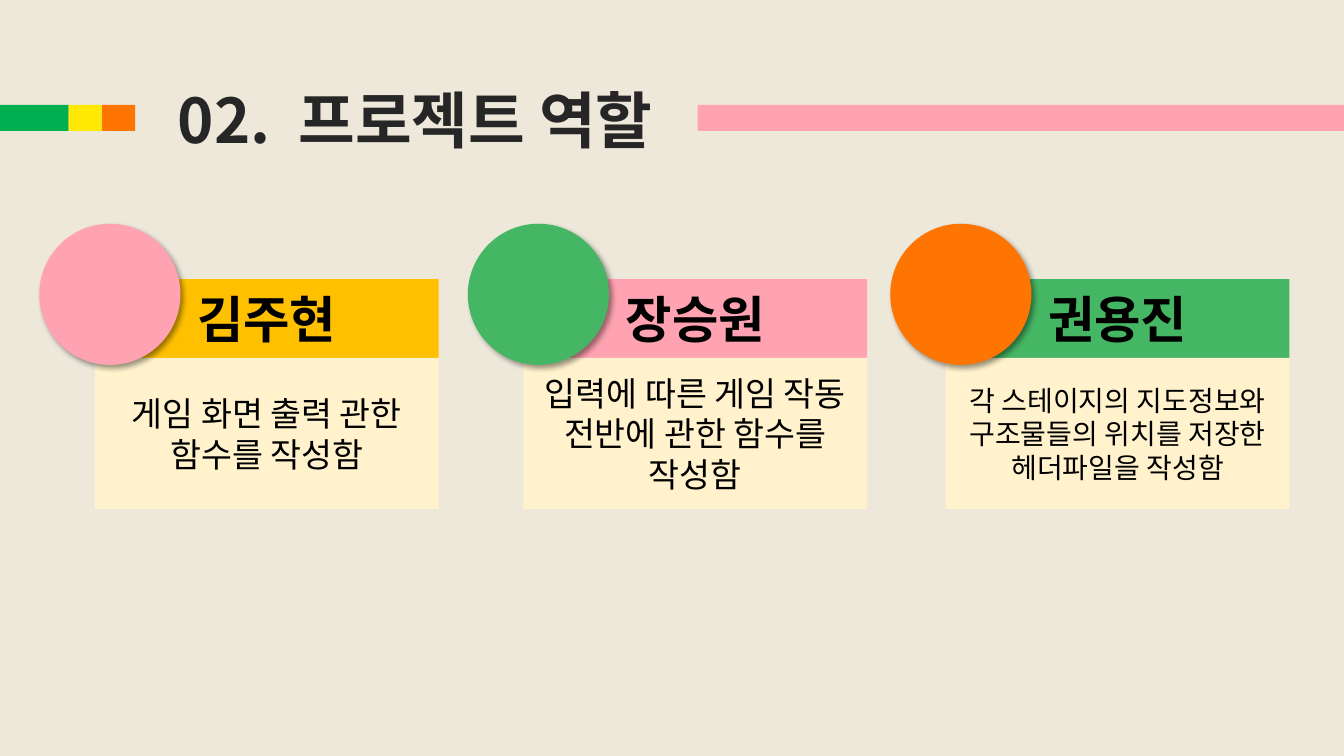
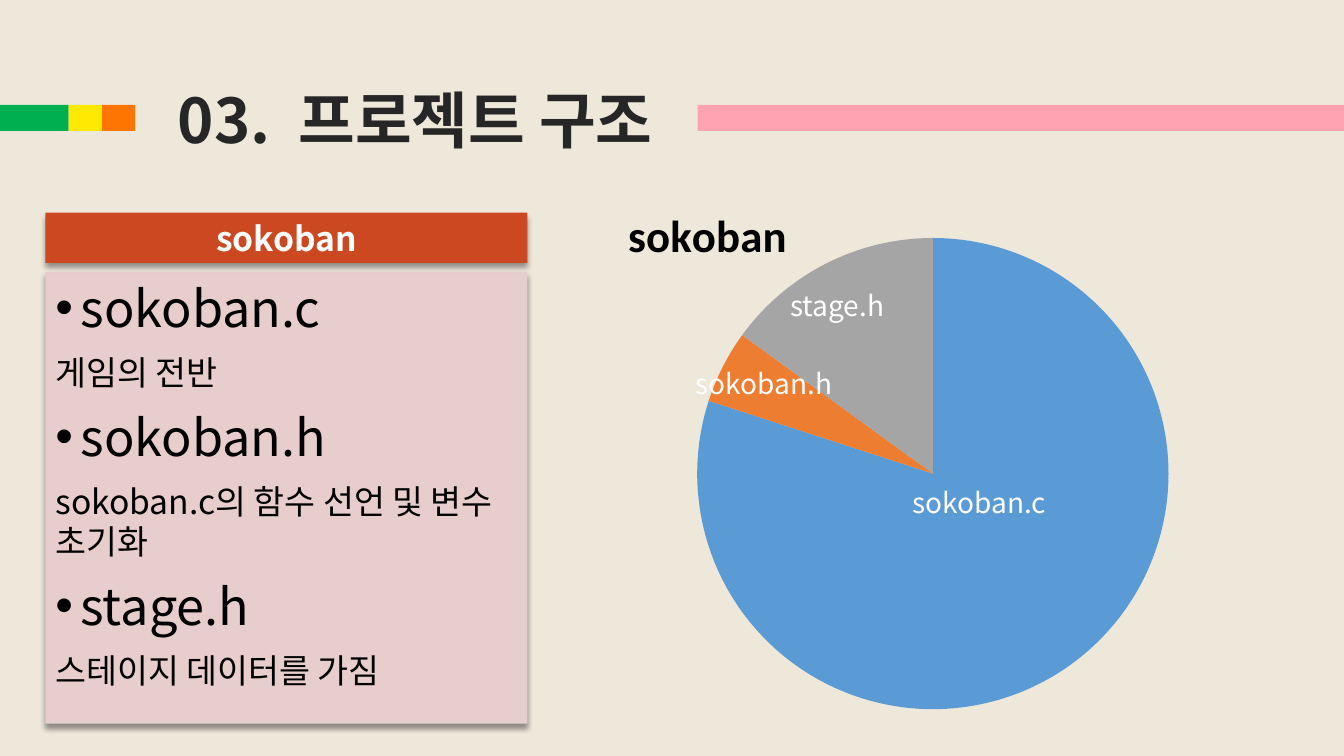
from lxml.etree import SubElement
from pptx import Presentation
from pptx.chart.data import CategoryChartData
from pptx.dml.color import RGBColor
from pptx.enum.chart import XL_CHART_TYPE
from pptx.enum.shapes import MSO_SHAPE
from pptx.enum.text import MSO_ANCHOR, PP_ALIGN
from pptx.oxml import parse_xml
from pptx.oxml.ns import nsdecls, qn
from pptx.util import Inches, Pt

FONT = "Noto Sans CJK KR"
CHART_FONT = "Calibri"
BACKGROUND = "EEE8DB"
BLACK, WHITE, INK = "000000", "FFFFFF", "262626"
PINK, ORANGE, GREEN, GOLD, CREAM = "FFA2B1", "FF7501", "45B664", "FFC000", "FFF2CC"
BANDS = [
    (0, 0.68, "00B050"),
    (0.68, 0.33, "FFE802"),
    (1.01, 0.33, ORANGE),
    (6.92, 6.42, PINK),
]


def color(value):
    return RGBColor.from_string(value)


class SlideBuilder:
    def __init__(self):
        self.deck = Presentation()
        self.deck.slide_width = Inches(13.33)
        self.deck.slide_height = Inches(7.5)
        fill = self.deck.slide_master.background.fill
        fill.solid()
        fill.fore_color.rgb = color(BACKGROUND)
        self.page = None

    def new_page(self):
        self.page = self.deck.slides.add_slide(self.deck.slide_layouts[6])

    def style(self, font, size, ink, bold=False, name=FONT):
        font.size = Pt(size)
        font.bold = bold
        font.name = name
        font.color.rgb = color(ink)

    def add_text(self, paragraph, text, size, ink=BLACK, bold=False, align=PP_ALIGN.LEFT):
        paragraph.alignment = align
        paragraph.add_run().text = text
        self.style(paragraph.font, size, ink, bold)
        east_asian = SubElement(paragraph.font._element, qn("a:ea"))
        east_asian.set("typeface", FONT)

    def shape(self, left, top, width, height, fill, kind=MSO_SHAPE.RECTANGLE, shadow=None):
        box = self.page.shapes.add_shape(
            kind, Inches(left), Inches(top), Inches(width), Inches(height)
        )
        box.fill.solid()
        box.fill.fore_color.rgb = color(fill)
        box.line.fill.background()
        box.shadow.inherit = False
        if shadow is not None:
            effects = box._element.spPr.find(qn("a:effectLst"))
            effects.append(parse_xml(
                f'<a:outerShdw {nsdecls("a")} blurRad="{Pt(4)}" dist="{Pt(3)}" '
                f'dir="{shadow * 60000}" algn="t" rotWithShape="0">'
                f'<a:srgbClr val="{BLACK}"><a:alpha val="40000"/></a:srgbClr></a:outerShdw>'
            ))
        return box

    def panel(self, left, top, width, height, fill, text, size, ink=BLACK, bold=False, shadow=None):
        box = self.shape(left, top, width, height, fill, shadow=shadow)
        box.text_frame.word_wrap = True
        box.text_frame.vertical_anchor = MSO_ANCHOR.MIDDLE
        self.add_text(box.text_frame.paragraphs[0], text, size, ink, bold, PP_ALIGN.CENTER)

    def label(self, left, top, width, height, text, size, ink, bold=False, align=PP_ALIGN.LEFT):
        box = self.page.shapes.add_textbox(
            Inches(left), Inches(top), Inches(width), Inches(height)
        )
        box.text_frame.word_wrap = True
        paragraph = box.text_frame.paragraphs[0]
        self.add_text(paragraph, text, size, ink, bold, align)
        return paragraph

    def heading(self, number, text):
        paragraph = self.label(1.33, 0.91, 5.58, 0.64, number, 44, INK, True, PP_ALIGN.CENTER)
        paragraph.line_spacing = 0.8
        gap = paragraph.add_run()
        gap.text = " "
        gap.font._element.set("spc", "1000")
        paragraph.add_run().text = text
        for left, width, fill in BANDS:
            self.shape(left, 1.04, width, 0.26, fill)

    def role_card(self, left, name, duty, size, header, circle):
        self.panel(left, 2.77, 3.41, 0.78, header, name, 36, bold=True)
        self.panel(left, 3.55, 3.41, 1.5, CREAM, duty, size)
        self.shape(left - 0.55, 2.22, 1.4, 1.4, circle, MSO_SHAPE.OVAL, shadow=45)

    def file_list(self, left, top, width, height, fill, files):
        box = self.shape(left, top, width, height, fill, shadow=90)
        frame = box.text_frame
        frame.word_wrap = True
        frame.vertical_anchor = MSO_ANCHOR.TOP
        for index, (name, purpose) in enumerate(files):
            item = frame.add_paragraph() if index else frame.paragraphs[0]
            if index:
                item.space_before = Pt(10)
            properties = item._p.get_or_add_pPr()
            properties.set("marL", str(Inches(0.25)))
            properties.set("indent", str(-Inches(0.25)))
            SubElement(properties, qn("a:buFont")).set("typeface", "Arial")
            SubElement(properties, qn("a:buChar")).set("char", "•")
            self.add_text(item, name, 36)
            detail = frame.add_paragraph()
            detail.space_before = Pt(10)
            self.add_text(detail, purpose, 24)

    def place(self, element, x, y, width=None, height=None):
        old = element.find(qn("c:layout"))
        if old is not None:
            element.remove(old)
        layout = parse_xml(f'<c:layout {nsdecls("c")}><c:manualLayout/></c:layout>')
        values = [("xMode", "edge"), ("yMode", "edge"), ("x", x), ("y", y)]
        if width is not None:
            values.insert(0, ("layoutTarget", "inner"))
            values += [("w", width), ("h", height)]
        for tag, value in values:
            SubElement(layout[0], qn(f"c:{tag}")).set("val", str(value))
        text = element.find(qn("c:tx"))
        if text is not None:
            text.addnext(layout)
        else:
            element.insert(0, layout)

    def pie(self, left, top, width, height, title, slices):
        data = CategoryChartData()
        data.categories = [str(index + 1) for index in range(len(slices))]
        data.add_series(title, [value for value, fill in slices])
        chart = self.page.shapes.add_chart(
            XL_CHART_TYPE.PIE, Inches(left), Inches(top), Inches(width), Inches(height), data
        ).chart
        self.style(chart.font, 18, BLACK, name=CHART_FONT)
        chart.has_legend = False
        chart.has_title = True
        paragraph = chart.chart_title.text_frame.paragraphs[0]
        paragraph.add_run().text = title
        self.style(paragraph.font, 32, BLACK, True, CHART_FONT)
        plot = chart.plots[0]
        plot.vary_by_categories = True
        for index, (value, fill) in enumerate(slices):
            point = plot.series[0].points[index].format
            point.fill.solid()
            point.fill.fore_color.rgb = color(fill)
            point.line.fill.background()
        self.place(chart.chart_title._element, 0.16, 0.12)
        self.place(chart._chartSpace.chart.plotArea, 0.25, 0.19, 0.55, 0.79)


def roles_page(builder):
    builder.new_page()
    builder.heading("02.", "프로젝트 역할")
    cards = [
        (0.94, "김주현", "게임 화면 출력 관한 함수를 작성함", 24, GOLD, PINK),
        (5.19, "장승원", "입력에 따른 게임 작동 전반에 관한 함수를 작성함", 24, PINK, GREEN),
        (9.38, "권용진", "각 스테이지의 지도정보와 구조물들의 위치를 저장한 헤더파일을 작성함",
         20, GREEN, ORANGE),
    ]
    for card in cards:
        builder.role_card(*card)


def structure_page(builder):
    builder.new_page()
    builder.pie(4.79, 1.23, 8.5, 5.93, "sokoban", [(80, "5B9BD5"), (5, "ED7D31"), (15, "A5A5A5")])
    builder.heading("03.", "프로젝트 구조")
    builder.file_list(0.45, 2.7, 4.78, 4.48, "E7CDCB", [
        ("sokoban.c", "게임의 전반"),
        ("sokoban.h", "sokoban.c의 함수 선언 및 변수 초기화"),
        ("stage.h", "스테이지 데이터를 가짐"),
    ])
    builder.panel(0.45, 2.11, 4.78, 0.5, "CC4821", "sokoban", 24, WHITE, True, shadow=90)
    for left, top, name in [
        (8.95, 4.77, "sokoban.c"),
        (6.8, 3.59, "sokoban.h"),
        (7.74, 2.81, "stage.h"),
    ]:
        builder.label(left, top, 2.15, 0.44, name, 20, WHITE)


def main():
    builder = SlideBuilder()
    roles_page(builder)
    structure_page(builder)
    builder.deck.save("out.pptx")


if __name__ == "__main__":
    main()
